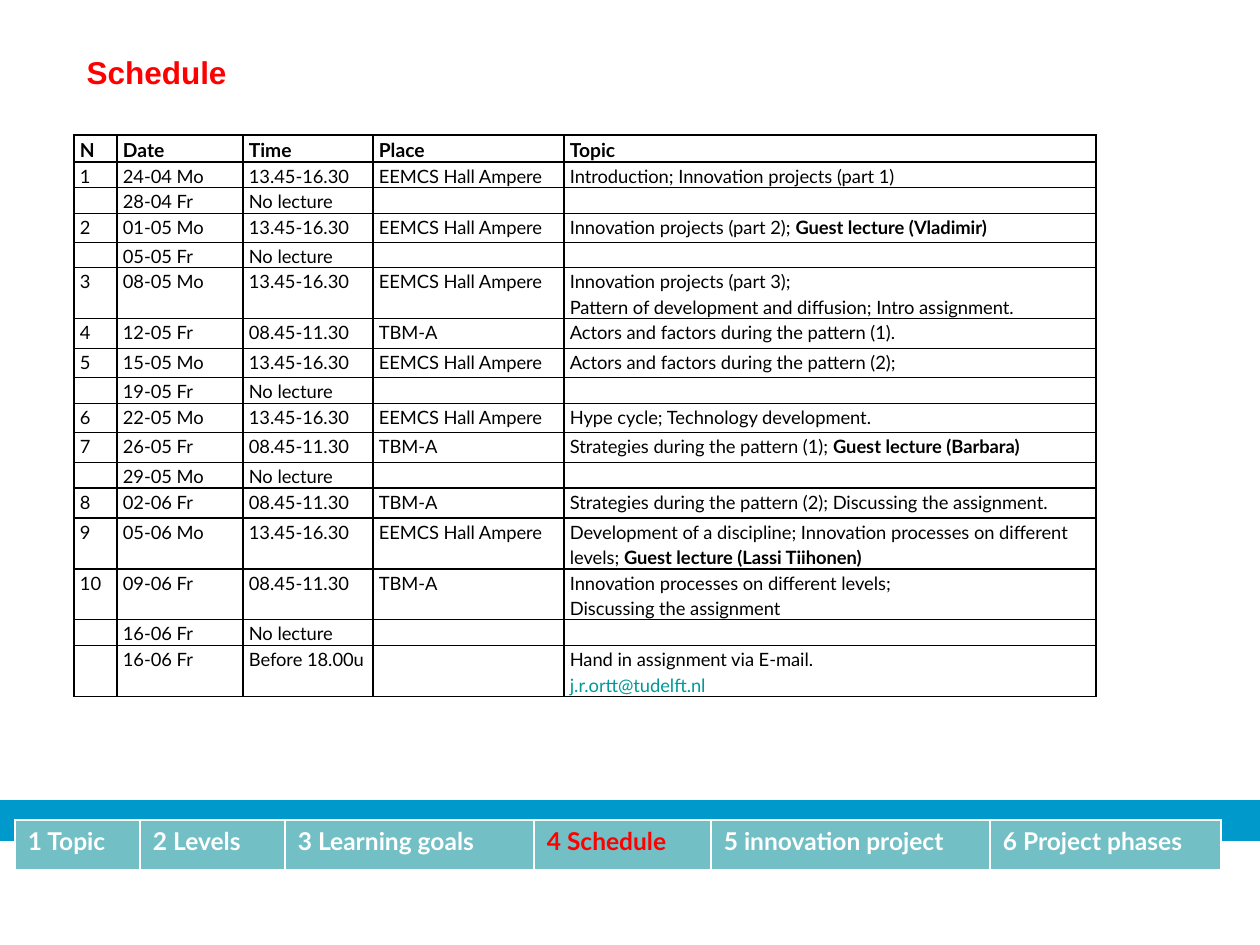
from dataclasses import dataclass

import pptx
import pptx.dml.color
import pptx.enum.shapes
import pptx.enum.text
import pptx.oxml
import pptx.oxml.ns
import pptx.table
import pptx.text.text
import pptx.util

SCALE = 914400 // 126
INK = {
    "black": "000000", "white": "FFFFFF", "red": "FF0000",
    "blue": "0099CC", "teal": "72BFC5", "link": "009999",
}


@dataclass(frozen=True)
class Run:
    text: str
    bold: bool = False
    ink: str = "black"
    line: bool = False


@dataclass(frozen=True)
class Class:
    high: int
    num: str
    date: str
    time: str
    place: str = ""
    topic: tuple[tuple[Run, ...], ...] = ()


@dataclass(frozen=True)
class Style:
    size: float
    inset: tuple[int, int]
    space: float
    edge: str
    widths: tuple[float, float, float, float]
    fill: str = ""


@dataclass(frozen=True)
class Tab:
    text: str
    wide: int
    ink: str = "white"


GRID = Style(10.5, (6, 0), 1.15, "black", (1, 1, 1, 1))
HEAD = Style(11, (6, 0), 1.15, "black", (1, 1, 1, 1))
MENU = Style(14, (13, 6), 1, "white", (1, 1, 1, 3), "teal")

HALL, ROOM, NONE = "EEMCS Hall Ampere", "TBM-A", "No lecture"
LATE, SOON = "13.45-16.30", "08.45-11.30"
WIDTHS = (43, 126, 130, 191, 532)
HEADS = ("N", "Date", "Time", "Place", "Topic")

PLAN = (
    Class(25, "1", "24-04 Mo", LATE, HALL, ((Run("Introduction; Innovation projects (part 1)"),),)),
    Class(26, "", "28-04 Fr", NONE),
    Class(29, "2", "01-05 Mo", LATE, HALL,
          ((Run("Innovation projects (part 2); "), Run("Guest lecture (Vladimir)", True)),)),
    Class(25, "", "05-05 Fr", NONE),
    Class(51, "3", "08-05 Mo", LATE, HALL,
          ((Run("Innovation projects (part 3);"),),
           (Run("Pattern of development and diffusion; Intro assignment."),))),
    Class(30, "4", "12-05 Fr", SOON, ROOM, ((Run("Actors and factors during the pattern (1)."),),)),
    Class(29, "5", "15-05 Mo", LATE, HALL, ((Run("Actors and factors during the pattern (2);"),),)),
    Class(26, "", "19-05 Fr", NONE),
    Class(29, "6", "22-05 Mo", LATE, HALL, ((Run("Hype cycle; Technology development."),),)),
    Class(30, "7", "26-05 Fr", SOON, ROOM,
          ((Run("Strategies during the pattern (1); "), Run("Guest lecture (Barbara)", True)),)),
    Class(25, "", "29-05 Mo", NONE),
    Class(30, "8", "02-06 Fr", SOON, ROOM,
          ((Run("Strategies during the pattern (2); Discussing the assignment."),),)),
    Class(51, "9", "05-06 Mo", LATE, HALL,
          ((Run("Development of a discipline; Innovation processes on different levels; "),
            Run("Guest lecture (Lassi Tiihonen)", True)),)),
    Class(50, "10", "09-06 Fr", SOON, ROOM,
          ((Run("Innovation processes on different levels;"),),
           (Run("Discussing the assignment"),))),
    Class(26, "", "16-06 Fr", NONE),
    Class(51, "", "16-06 Fr", "Before 18.00u", "",
          ((Run("Hand in assignment via E-mail."),),
           (Run("j.r.ortt@tudelft.nl", ink="link", line=True),))),
)

TABS = (
    Tab("1 Topic", 125), Tab("2 Levels", 145), Tab("3 Learning goals", 249),
    Tab("4 Schedule", 177, "red"), Tab("5 innovation project", 279),
    Tab("6 Project phases", 231),
)


def px(count: int) -> int:
    return pptx.util.Emu(count * SCALE)


def tint(name: str) -> pptx.dml.color.RGBColor:
    return pptx.dml.color.RGBColor.from_string(INK[name])


def add_run(para: pptx.text.text._Paragraph, item: Run, size: float, face: str) -> None:
    run = para.add_run()
    run.text = item.text
    font = run.font
    font.name, font.size, font.bold = face, pptx.util.Pt(size), item.bold
    font.color.rgb = tint(item.ink)
    if item.line:
        font.underline = True


def fill_cell(cell: pptx.table._Cell, lines: tuple[tuple[Run, ...], ...], style: Style) -> None:
    props = cell._tc.get_or_add_tcPr()
    for side, wide in zip("LRTB", style.widths):
        props.append(pptx.oxml.parse_xml(
            f'<a:ln{side} {pptx.oxml.ns.nsdecls("a")} w="{pptx.util.Pt(wide)}"><a:solidFill>'
            f'<a:srgbClr val="{INK[style.edge]}"/></a:solidFill></a:ln{side}>'))
    if style.fill:
        cell.fill.solid()
        cell.fill.fore_color.rgb = tint(style.fill)
    else:
        cell.fill.background()
    cell.margin_left = cell.margin_right = px(style.inset[0])
    cell.margin_top = cell.margin_bottom = px(style.inset[1])
    frame = cell.text_frame
    for spot, line in enumerate(lines or ((),)):
        para = frame.add_paragraph() if spot else frame.paragraphs[0]
        para.line_spacing = style.space
        for item in line:
            add_run(para, item, style.size, "Lato")
        if not line:
            para._p.append(pptx.oxml.parse_xml(
                f'<a:endParaRPr {pptx.oxml.ns.nsdecls("a")} sz="{int(style.size * 100)}">'
                '<a:latin typeface="Lato"/></a:endParaRPr>'))


def add_grid(slide: pptx.slide.Slide, left: int, top: int,
             cols: tuple[int, ...], rows: tuple[int, ...]) -> pptx.table.Table:
    table = slide.shapes.add_table(
        len(rows), len(cols), px(left), px(top), px(sum(cols)), px(sum(rows))).table
    table.first_row = table.horz_banding = False
    for col, wide in zip(table.columns, cols):
        col.width = px(wide)
    for row, high in zip(table.rows, rows):
        row.height = px(high)
    return table


def add_plan(slide: pptx.slide.Slide) -> None:
    table = add_grid(slide, 74, 135, WIDTHS, (27, *(item.high for item in PLAN)))
    for col, text in enumerate(HEADS):
        fill_cell(table.cell(0, col), ((Run(text, True),),), HEAD)
    for row, item in enumerate(PLAN, 1):
        for col, text in enumerate((item.num, item.date, item.time, item.place)):
            fill_cell(table.cell(row, col), ((Run(text),),) if text else (), GRID)
        fill_cell(table.cell(row, 4), item.topic, GRID)


def add_menu(slide: pptx.slide.Slide) -> None:
    band = slide.shapes.add_shape(
        pptx.enum.shapes.MSO_SHAPE.RECTANGLE, 0, px(801), px(1260), px(39))
    band.shadow.inherit = False
    band.fill.solid()
    band.fill.fore_color.rgb = band.line.color.rgb = tint("blue")
    band.line.width = pptx.util.Pt(0.75)
    table = add_grid(slide, 15, 820, tuple(tab.wide for tab in TABS), (51,))
    for col, tab in enumerate(TABS):
        fill_cell(table.cell(0, col), ((Run(tab.text, True, tab.ink),),), MENU)


def add_title(slide: pptx.slide.Slide) -> None:
    title = slide.shapes.title
    title.left, title.top, title.width, title.height = px(74), px(47), px(175), px(50)
    frame = title.text_frame
    frame.word_wrap = False
    frame.auto_size = pptx.enum.text.MSO_AUTO_SIZE.SHAPE_TO_FIT_TEXT
    frame.vertical_anchor = pptx.enum.text.MSO_ANCHOR.TOP
    para = frame.paragraphs[0]
    para.alignment = pptx.enum.text.PP_ALIGN.LEFT
    add_run(para, Run("Schedule", True, "red"), 18, "Arial")


def main() -> None:
    deck = pptx.Presentation()
    deck.slide_width, deck.slide_height = px(1260), px(945)
    slide = deck.slides.add_slide(deck.slide_layouts[5])
    add_menu(slide)
    add_plan(slide)
    add_title(slide)
    deck.save("out.pptx")


if __name__ == "__main__":
    main()
